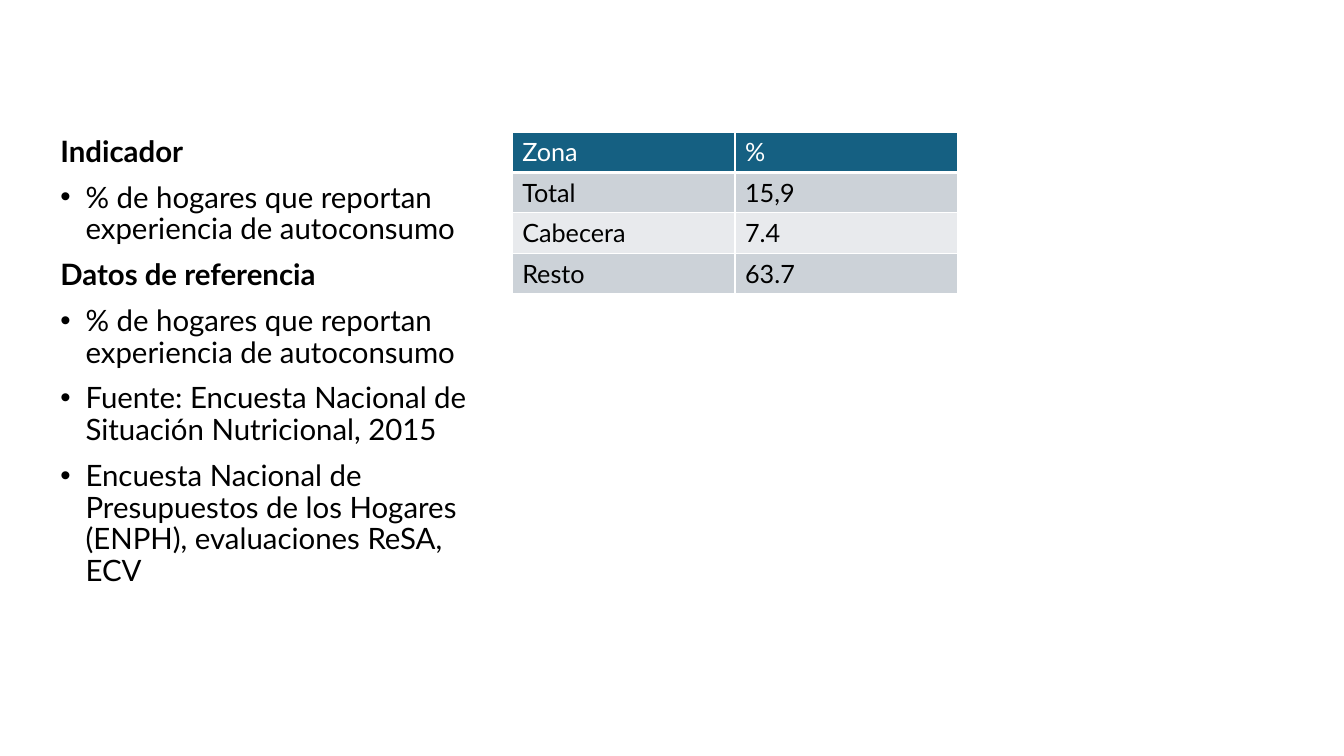
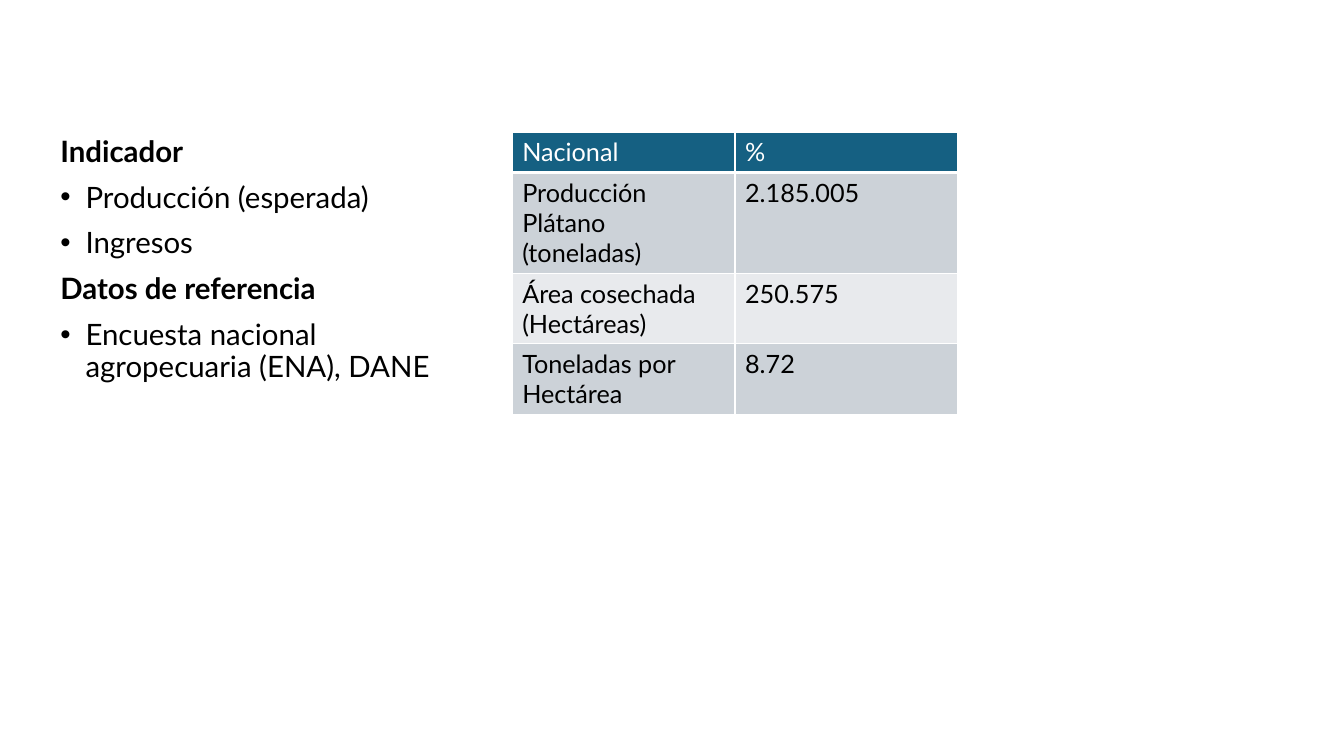
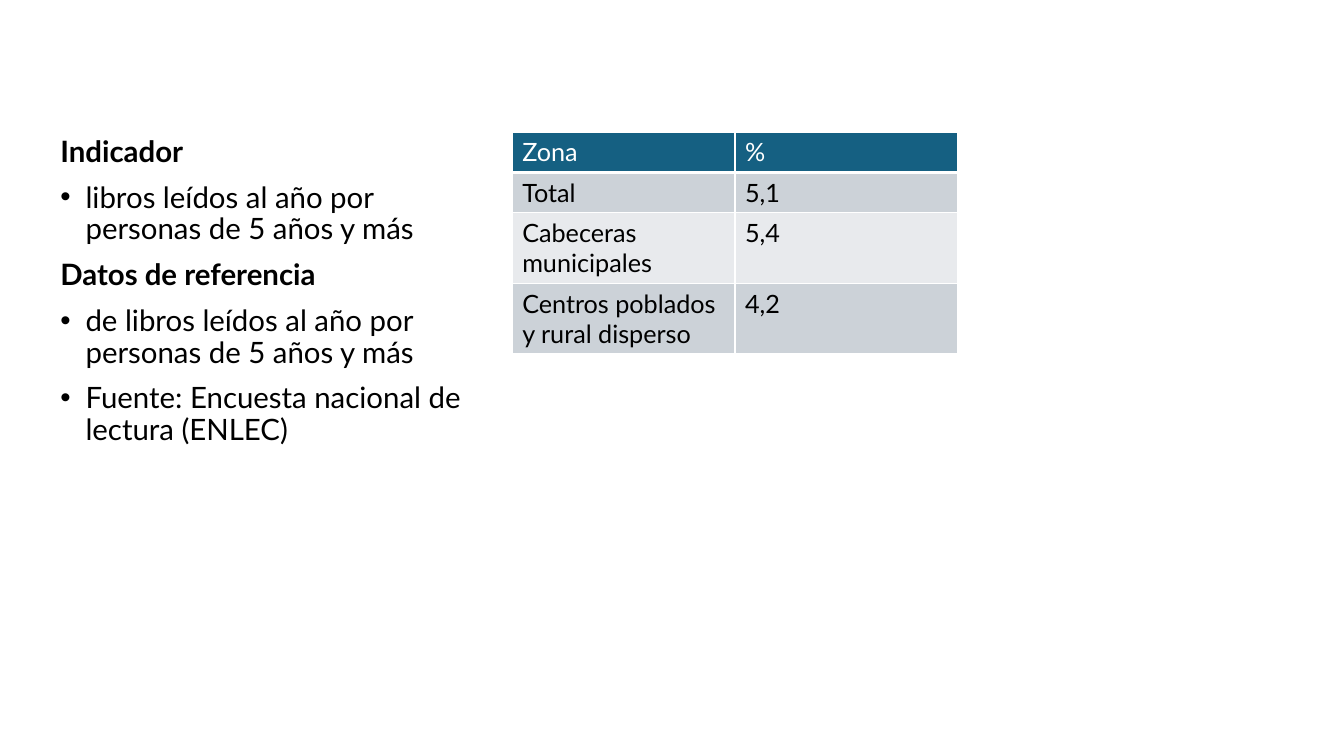
"""Build three slides, each pairing an indicator list with its reference table."""
from dataclasses import dataclass

from lxml.etree import SubElement
from pptx import Presentation
from pptx.dml.color import RGBColor
from pptx.oxml.ns import qn
from pptx.util import Inches, Pt


@dataclass(frozen=True)
class Theme:
    font: str = "Lato"
    bullet_font: str = "Arial"
    ink: str = "000000"
    paper: str = "FFFFFF"
    header: str = "156082"
    bands: tuple = ("CCD2D8", "E8EAED")
    body_size: float = 21
    table_size: float = 18
    rule: float = 1
    header_rule: float = 3


MARGIN, TOP = 0.5, 1.31
COLUMN_WIDTH, TEXT_HEIGHT = 4.42, 3.71
TABLE_LEFT, ROW_HEIGHT = 5.08, 0.4
INDENT = 0.25

SLIDES = [
    (
        ["% de hogares que reportan experiencia de autoconsumo"],
        [
            "% de hogares que reportan experiencia de autoconsumo",
            "Fuente: Encuesta Nacional de Situación Nutricional, 2015",
            "Encuesta Nacional de Presupuestos de los Hogares (ENPH), evaluaciones ReSA, ECV",
        ],
        [("Zona", "%"), ("Total", "15,9"), ("Cabecera", "7.4"), ("Resto", "63.7")],
    ),
    (
        ["Producción (esperada)", "Ingresos"],
        ["Encuesta nacional agropecuaria (ENA), DANE"],
        [
            ("Nacional", "%"),
            ("Producción Plátano (toneladas)", "2.185.005"),
            ("Área cosechada (Hectáreas)", "250.575"),
            ("Toneladas por Hectárea", "8.72"),
        ],
    ),
    (
        ["libros leídos al año por personas de 5 años y más"],
        [
            "de libros leídos al año por personas de 5 años y más",
            "Fuente: Encuesta nacional de lectura (ENLEC)",
        ],
        [
            ("Zona", "%"),
            ("Total", "5,1"),
            ("Cabeceras municipales", "5,4"),
            ("Centros poblados y rural disperso", "4,2"),
        ],
    ),
]


class Builder:
    def __init__(self, theme):
        self.theme = theme
        self.deck = Presentation()
        self.deck.slide_width = Inches(13.33)
        self.deck.slide_height = Inches(7.5)
        self.page = None

    def new_page(self):
        self.page = self.deck.slides.add_slide(self.deck.slide_layouts[6])
        fill = self.page.background.fill
        fill.solid()
        fill.fore_color.rgb = RGBColor.from_string(self.theme.paper)

    def add_span(self, para, text, size, color, bold=False):
        span = para.add_run()
        span.text = text
        span.font.name = self.theme.font
        span.font.size = Pt(size)
        span.font.bold = bold
        span.font.color.rgb = RGBColor.from_string(color)

    def add_bullet(self, para):
        properties = para._p.get_or_add_pPr()
        properties.set("marL", str(Inches(INDENT)))
        properties.set("indent", str(-Inches(INDENT)))
        SubElement(properties, qn("a:buFont"), typeface=self.theme.bullet_font)
        SubElement(properties, qn("a:buChar"), char="•")

    def add_sections(self, sections):
        box = self.page.shapes.add_textbox(
            Inches(MARGIN), Inches(TOP), Inches(COLUMN_WIDTH), Inches(TEXT_HEIGHT)
        )
        frame = box.text_frame
        frame.word_wrap = True
        lines = []
        for heading, items in sections:
            lines.append((heading, True))
            lines.extend((item, False) for item in items)
        for index, (text, is_heading) in enumerate(lines):
            para = frame.add_paragraph() if index else frame.paragraphs[0]
            para.line_spacing = 0.9
            para.space_before = Pt(10)
            if not is_heading:
                self.add_bullet(para)
            self.add_span(para, text, self.theme.body_size, self.theme.ink, is_heading)

    def add_borders(self, cell, bottom):
        properties = cell._tc.get_or_add_tcPr()
        for side in "LRTB":
            width = bottom if side == "B" else self.theme.rule
            line = SubElement(properties, qn(f"a:ln{side}"), w=str(Pt(width)))
            fill = SubElement(line, qn("a:solidFill"))
            SubElement(fill, qn("a:srgbClr"), val=self.theme.paper)

    def add_table(self, rows):
        theme = self.theme
        columns = len(rows[0])
        table = self.page.shapes.add_table(
            len(rows), columns, Inches(TABLE_LEFT), Inches(TOP),
            Inches(COLUMN_WIDTH), Inches(ROW_HEIGHT * len(rows)),
        ).table
        for column in table.columns:
            column.width = Inches(COLUMN_WIDTH / columns)
        for row_index, row in enumerate(rows):
            if row_index == 0:
                shade, color, bottom = theme.header, theme.paper, theme.header_rule
            else:
                shade = theme.bands[(row_index - 1) % len(theme.bands)]
                color, bottom = theme.ink, theme.rule
            for column_index, text in enumerate(row):
                cell = table.cell(row_index, column_index)
                self.add_borders(cell, bottom)
                cell.fill.solid()
                cell.fill.fore_color.rgb = RGBColor.from_string(shade)
                para = cell.text_frame.paragraphs[0]
                self.add_span(para, text, theme.table_size, color)


def main():
    builder = Builder(Theme())
    for indicators, references, rows in SLIDES:
        builder.new_page()
        builder.add_sections(
            [("Indicador", indicators), ("Datos de referencia", references)]
        )
        builder.add_table(rows)
    builder.deck.save("out.pptx")


if __name__ == "__main__":
    main()
